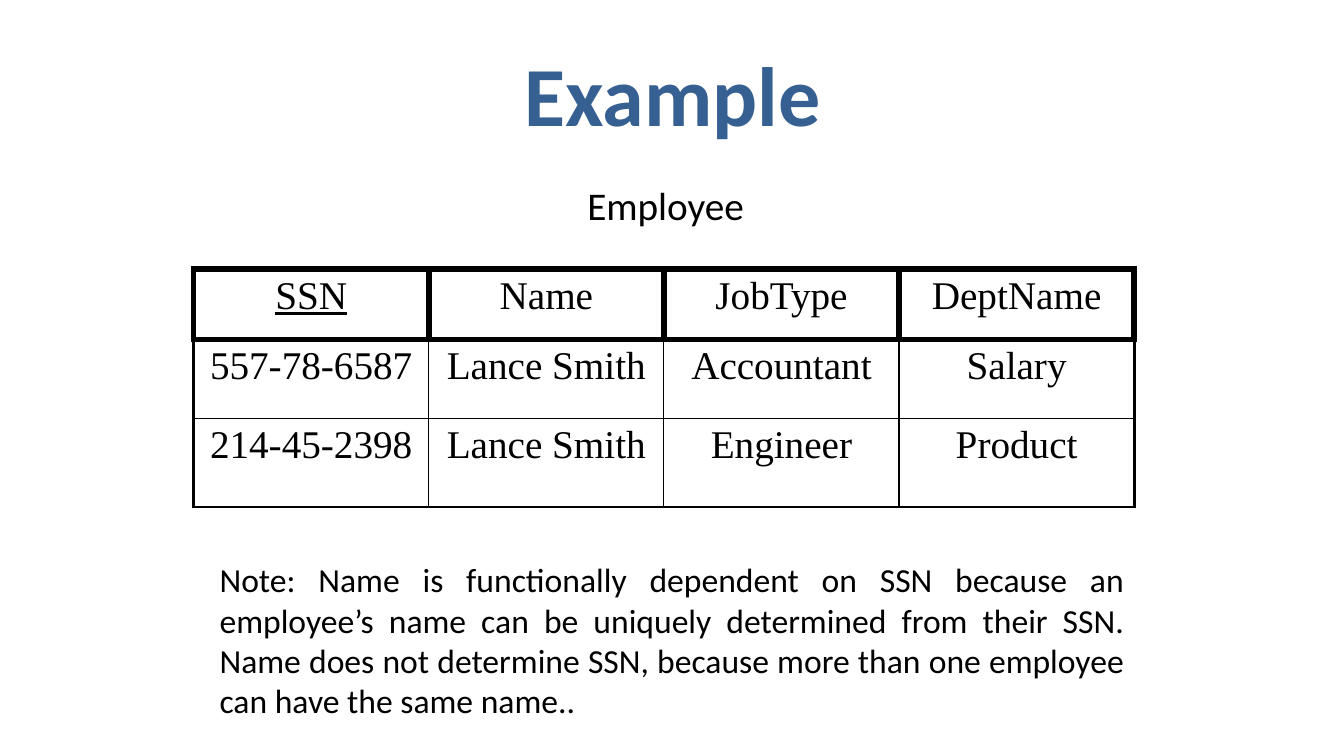
from dataclasses import dataclass

from lxml import etree
from pptx import Presentation
from pptx.dml.color import RGBColor
from pptx.enum.text import MSO_ANCHOR, MSO_AUTO_SIZE, PP_ALIGN
from pptx.oxml.ns import qn
from pptx.util import Inches, Pt

CENTER = PP_ALIGN.CENTER
JUSTIFY = PP_ALIGN.JUSTIFY
MIDDLE = MSO_ANCHOR.MIDDLE
TOP = MSO_ANCHOR.TOP
NO_FIT = MSO_AUTO_SIZE.NONE

COLORS = {"title": "366092", "text": "000000", "line": "000000"}
SANS = "Calibri"
SERIF = "Times New Roman"
THICK, MEDIUM, THIN = 4.5, 2.25, 1

ROWS = [
    ["SSN", "Name", "JobType", "DeptName"],
    ["557-78-6587", "Lance Smith", "Accountant", "Salary"],
    ["214-45-2398", "Lance Smith", "Engineer", "Product"],
]
HEIGHTS = [0.7, 0.78, 0.88]


@dataclass
class Block:
    text: str
    left: float
    top: float
    width: float
    height: float
    size: float
    align: PP_ALIGN = CENTER
    anchor: MSO_ANCHOR = TOP
    color: str = "text"
    bold: bool = False
    inset: float = 0.1


TITLE = Block("Example", 2.17, 0.3, 9, 1.25, 60,
              anchor=MIDDLE, color="title", bold=True)
LABEL = Block("Employee", 1.67, 1.75, 9.58, 0.92, 28, inset=0.38)
NOTE = Block(
    "Note: Name is functionally dependent on SSN because an employee’s name "
    "can be uniquely determined from their SSN. Name does not determine SSN, "
    "because more than one employee can have the same name..",
    2.08, 5.5, 9.17, 1.72, 24, align=JUSTIFY)


def style(frame, font: str, size: float, color: str, align: PP_ALIGN,
          bold: bool = False) -> None:
    for para in frame.paragraphs:
        para.alignment = align
        for run in para.runs:
            run.font.name = font
            run.font.size = Pt(size)
            run.font.bold = bold
            run.font.color.rgb = RGBColor.from_string(COLORS[color])


def fill_block(shape, block: Block) -> None:
    shape.left, shape.top = Inches(block.left), Inches(block.top)
    shape.width, shape.height = Inches(block.width), Inches(block.height)
    frame = shape.text_frame
    frame.text = block.text
    frame.word_wrap = True
    frame.auto_size = NO_FIT
    frame.vertical_anchor = block.anchor
    frame.margin_left = Inches(block.inset)
    style(frame, SANS, block.size, block.color, block.align, block.bold)


def add_block(slide, block: Block) -> None:
    fill_block(slide.shapes.add_textbox(0, 0, 0, 0), block)


def add_edge(cell, side: str, width: float) -> None:
    props = cell._tc.get_or_add_tcPr()
    edge = etree.SubElement(props, qn(f"a:ln{side}"), w=str(Pt(width)))
    fill = etree.SubElement(edge, qn("a:solidFill"))
    etree.SubElement(fill, qn("a:srgbClr"), val=COLORS["line"])


def edge_widths(row: int, col: int) -> dict[str, float]:
    if row == 0:
        return dict.fromkeys("LRTB", THICK)
    return {
        "L": MEDIUM if col == 0 else THIN,
        "R": MEDIUM if col == len(ROWS[0]) - 1 else THIN,
        "T": THICK if row == 1 else THIN,
        "B": MEDIUM if row == len(ROWS) - 1 else THIN,
    }


def add_grid(slide) -> None:
    frame = slide.shapes.add_table(
        len(ROWS), len(ROWS[0]), Inches(1.92), Inches(2.67),
        Inches(9.33), Inches(sum(HEIGHTS)))
    table = frame.table
    table.first_row = False
    table.horz_banding = False
    for row, (height, texts) in enumerate(zip(HEIGHTS, ROWS)):
        table.rows[row].height = Inches(height)
        for col, text in enumerate(texts):
            cell = table.cell(row, col)
            cell.text_frame.text = text
            style(cell.text_frame, SERIF, 28, "text", CENTER)
            for side, width in edge_widths(row, col).items():
                add_edge(cell, side, width)
            cell.fill.background()
    key = table.cell(0, 0).text_frame.paragraphs[0].runs[0]
    key.font.underline = True


def main() -> None:
    deck = Presentation()
    deck.slide_width, deck.slide_height = Inches(13.33), Inches(7.5)
    slide = deck.slides.add_slide(deck.slide_layouts.get_by_name("Title Only"))
    fill_block(slide.shapes.title, TITLE)
    add_block(slide, LABEL)
    add_grid(slide)
    add_block(slide, NOTE)
    deck.save("out.pptx")


if __name__ == "__main__":
    main()
